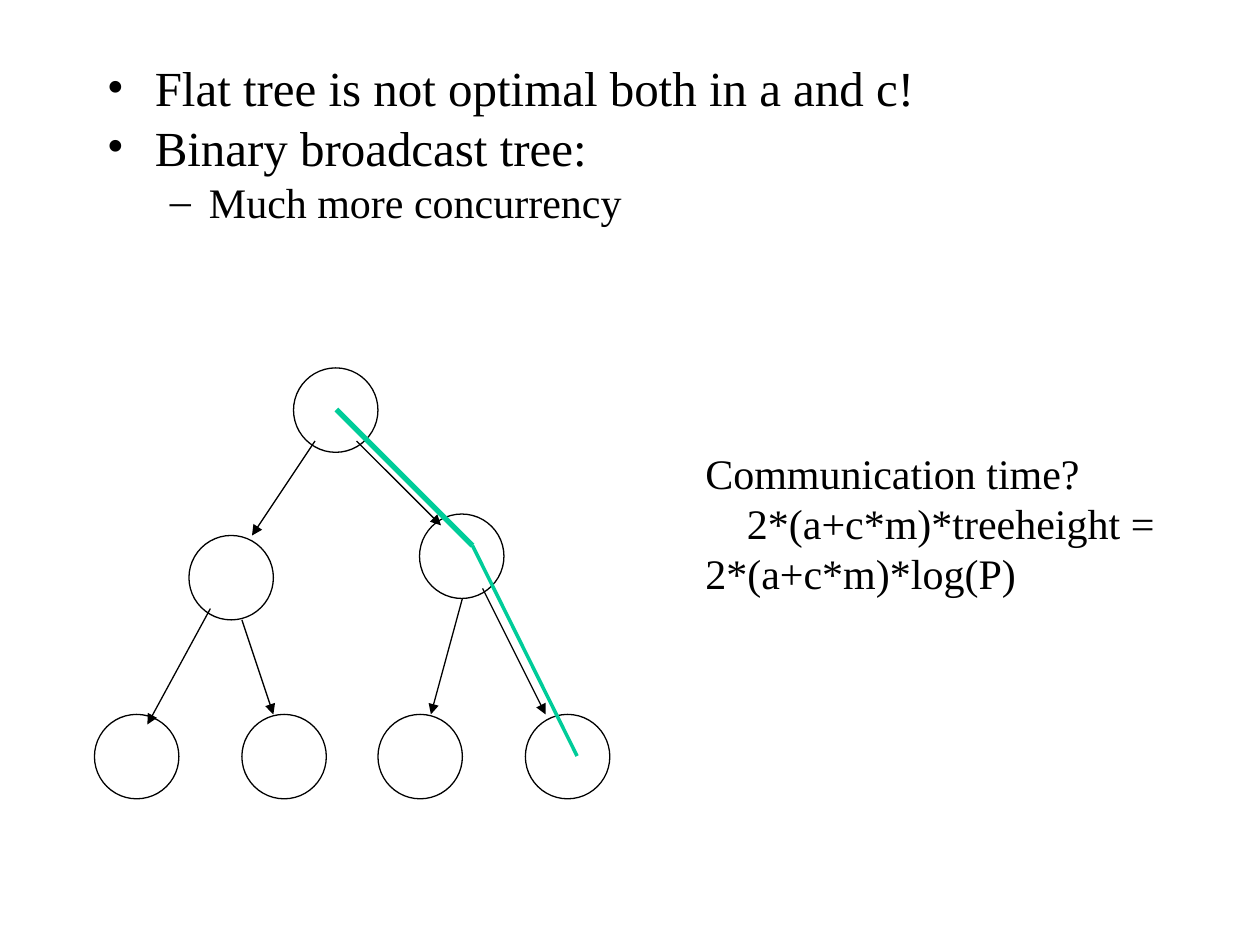
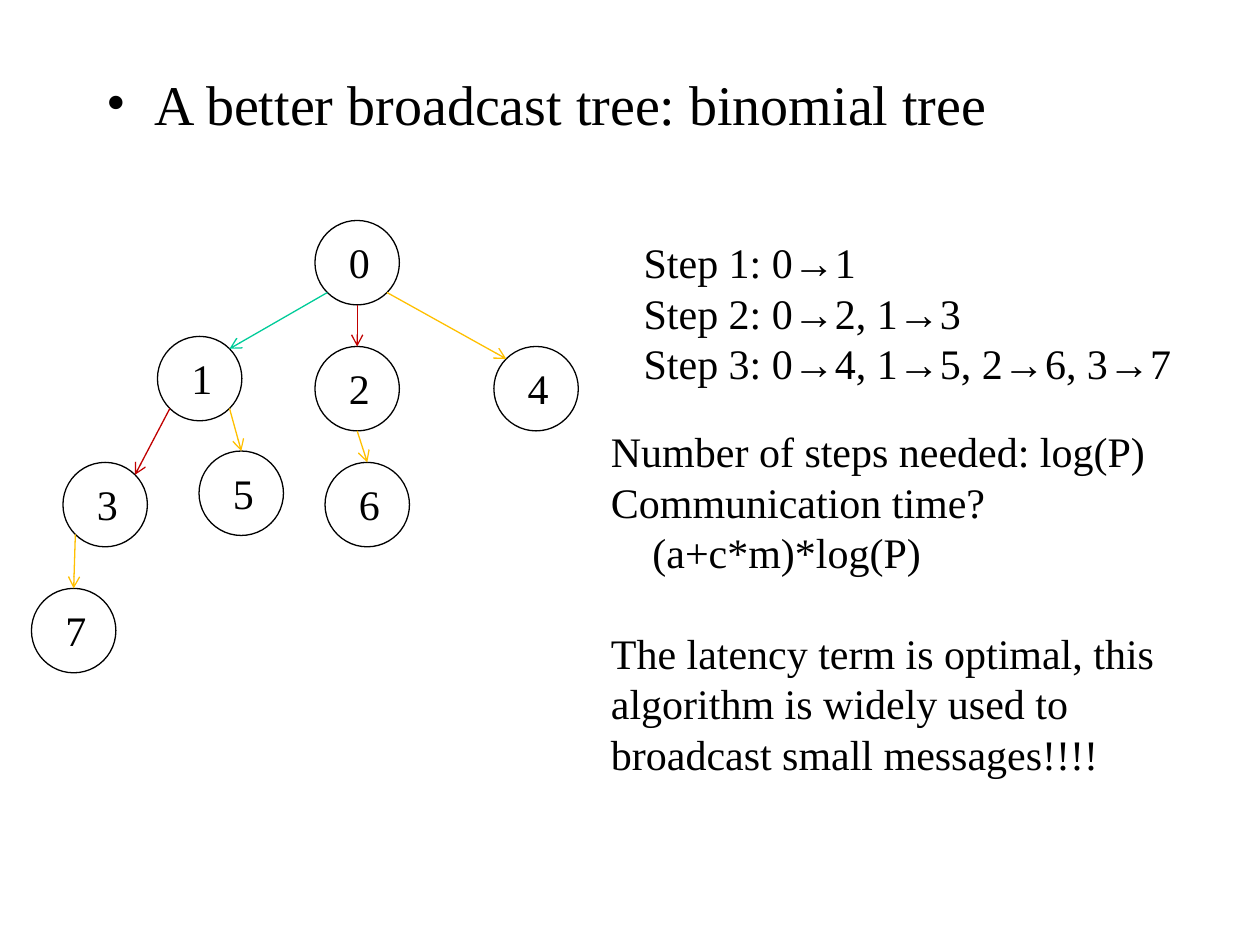
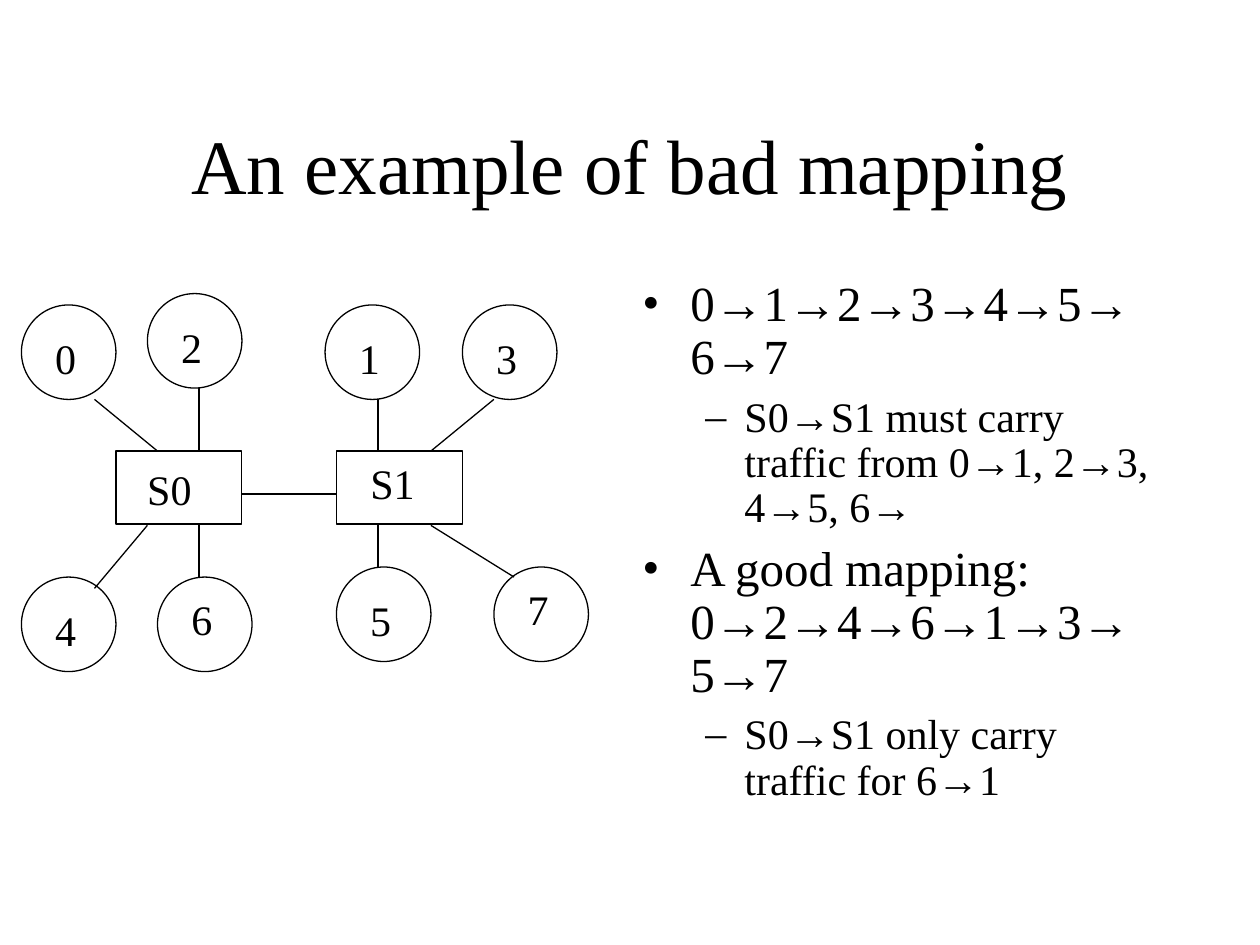
from dataclasses import dataclass

from lxml.etree import SubElement as Sub
from pptx import Presentation
from pptx.dml.color import RGBColor as RGB
from pptx.enum.shapes import MSO_CONNECTOR as Link, MSO_SHAPE as Form
from pptx.enum.text import MSO_ANCHOR as Anchor, MSO_AUTO_SIZE as Fit, PP_ALIGN as Align
from pptx.oxml.ns import qn
from pptx.util import Inches, Pt


@dataclass(frozen=True)
class Theme:
    font: str = "Times New Roman"
    arrow: str = "Arial"
    ink: str = "000000"
    green: str = "00CC99"
    red: str = "C00000"
    gold: str = "FFC000"
    title: int = 44
    lead: int = 32
    point: int = 28
    text: int = 24
    thin: float = 0.75


LOOK = Theme()
DIAG = 0.5 ** 0.5
SITES = {"n": (0, -1), "s": (0, 1), "ne": (DIAG, -DIAG), "nw": (-DIAG, -DIAG),
         "se": (DIAG, DIAG), "sw": (-DIAG, DIAG)}


def add_run(para, text, size, font):
    run = para.add_run()
    run.text = text
    run.font.name = font
    run.font.size = Pt(size)
    run.font.color.rgb = RGB.from_string(LOOK.ink)


def write(para, text, size):
    for i, part in enumerate(text.split("→")):
        if i:
            add_run(para, "→", size, LOOK.arrow)
        if part:
            add_run(para, part, size, LOOK.font)


def add_box(slide, x, y, wide, high, wrap=True):
    box = slide.shapes.add_textbox(Inches(x), Inches(y), Inches(wide), Inches(high))
    box.text_frame.word_wrap = wrap
    return box.text_frame


def next_para(frame, first):
    return frame.paragraphs[0] if first else frame.add_paragraph()


def add_title(slide, text):
    frame = add_box(slide, 0.75, 0.67, 8.5, 1.25)
    frame.vertical_anchor = Anchor.MIDDLE
    para = frame.paragraphs[0]
    para.alignment = Align.CENTER
    write(para, text, LOOK.title)


def add_list(slide, place, items, space, size=LOOK.point):
    frame = add_box(slide, *place)
    for i, (level, text) in enumerate(items):
        para = next_para(frame, i == 0)
        para.level = level
        para.line_spacing = space
        left, hang, mark = ((0.38, -0.38, "•"), (0.81, -0.31, "–"))[level]
        type_size = LOOK.text if level else size
        para.space_before = Pt(6 if level else size // 4)
        props = para._p.get_or_add_pPr()
        props.set("marL", str(Inches(left)))
        props.set("indent", str(Inches(hang)))
        tint = Sub(props, qn("a:buClr"))
        Sub(tint, qn("a:srgbClr"), val=LOOK.ink)
        Sub(props, qn("a:buFont"), typeface=LOOK.font)
        Sub(props, qn("a:buChar"), char=mark)
        write(para, text, type_size)


def add_note(slide, place, lines, wrap=True):
    frame = add_box(slide, *place, wrap=wrap)
    frame.auto_size = Fit.SHAPE_TO_FIT_TEXT
    for i, (text, indent, gap) in enumerate(lines):
        para = next_para(frame, i == 0)
        if indent:
            para._p.get_or_add_pPr().set("indent", str(Inches(indent)))
        if gap:
            para.space_before = Pt(gap)
        write(para, text, LOOK.text)


def add_node(slide, x, y, wide, high, form=Form.OVAL):
    node = slide.shapes.add_shape(form, Inches(x), Inches(y), Inches(wide), Inches(high))
    node.shadow.inherit = False
    node.fill.background()
    node.line.color.rgb = RGB.from_string(LOOK.ink)
    node.line.width = Pt(LOOK.thin)


def add_label(slide, x, y, text):
    add_note(slide, (x, y, 0.17 + 0.19 * len(text), 0.5), [(text, 0, 0)], wrap=False)


def add_line(slide, start, end, color=LOOK.ink, width=LOOK.thin, tip=None):
    line = slide.shapes.add_connector(Link.STRAIGHT, *map(Inches, start + end))
    line.line.color.rgb = RGB.from_string(color)
    line.line.width = Pt(width)
    props = line.element.spPr
    if tip:
        Sub(props.find(qn("a:ln")), qn("a:tailEnd"), type=tip)
    Sub(props, qn("a:effectLst"))


def find_site(spot, size, side):
    return tuple(edge + size / 2 * (1 + way) for edge, way in zip(spot, SITES[side]))


def draw_flat(slide):
    add_list(slide, (0.75, 0.5, 8.58, 1.42), [
        (0, "Flat tree is not optimal both in a and c!"),
        (0, "Binary broadcast tree:"),
        (1, "Much more concurrency"),
    ], 0.8)
    for x, y in [(2.33, 2.92), (3.33, 4.08), (1.5, 4.25),
                 (4.17, 5.67), (3, 5.67), (1.92, 5.67), (0.75, 5.67)]:
        add_node(slide, x, y, 0.67, 0.67)
    for start, end in [
        ((2.5, 3.5), (2, 4.25)), ((2.83, 3.5), (3.5, 4.17)),
        ((1.67, 4.83), (1.17, 5.75)), ((1.92, 4.92), (2.17, 5.67)),
        ((3.67, 4.75), (3.42, 5.67)), ((3.83, 4.67), (4.33, 5.67)),
    ]:
        add_line(slide, start, end, tip="triangle")
    add_note(slide, (5.5, 3.5, 3.77, 1.3), [
        ("Communication time?", 0, 0),
        ("2*(a+c*m)*treeheight = 2*(a+c*m)*log(P)", 0.33, 0),
    ])
    bend = (3.75, 4.33)
    add_line(slide, (2.67, 3.25), bend, LOOK.green, 3)
    add_line(slide, bend, (4.58, 6), LOOK.green, 2)


def draw_tree(slide):
    add_list(slide, (0.75, 0.5, 8.58, 1.42),
             [(0, "A better broadcast tree: binomial tree")], 1.0, LOOK.lead)
    size = 0.67
    spots = [(2.5, 1.75), (1.25, 2.67), (2.5, 2.75), (0.5, 3.67),
             (3.92, 2.75), (1.58, 3.58), (2.58, 3.67), (0.25, 4.67)]
    for x, y in spots:
        add_node(slide, x, y, size, size)
    for src, out, dest, into, color in [
        (0, "sw", 1, "ne", LOOK.green),
        (1, "sw", 3, "ne", LOOK.red), (0, "s", 2, "n", LOOK.red),
        (3, "sw", 7, "n", LOOK.gold), (1, "se", 5, "n", LOOK.gold),
        (2, "s", 6, "n", LOOK.gold), (0, "se", 4, "nw", LOOK.gold),
    ]:
        add_line(slide, find_site(spots[src], size, out),
                 find_site(spots[dest], size, into), color, tip="arrow")
    for i, (x, y) in enumerate(spots):
        add_label(slide, x + 0.17, y + 0.08, str(i))
    add_note(slide, (4.75, 3.33, 4.75, 2.9), [
        ("Number of steps needed: log(P)", 0, 0),
        ("Communication time?", 0, 0),
        ("(a+c*m)*log(P)", 0.33, 0),
        ("The latency term is optimal, this algorithm is widely used to "
         "broadcast small messages!!!!", 0, 28.8),
    ])
    add_note(slide, (5.01, 1.83, 4.45, 1.3), [
        ("Step 1: 0→1", 0, 0),
        ("Step 2: 0→2, 1→3", 0, 0),
        ("Step 3: 0→4, 1→5, 2→6, 3→7", 0, 0),
    ])


def draw_map(slide):
    add_title(slide, "An example of bad mapping")
    add_list(slide, (5, 2.17, 4.25, 4.5), [
        (0, "0→1→2→3→4→5→6→7"),
        (1, "S0→S1 must carry traffic from 0→1, 2→3, 4→5, 6→"),
        (0, "A good mapping: 0→2→4→6→1→3→5→7"),
        (1, "S0→S1 only carry traffic for 6→1"),
    ], 0.9)
    for text, x, shift, drop in [("S0", 0.92, 0.15, 0.05), ("S1", 2.67, 0.17, 0)]:
        add_node(slide, x, 3.58, 1, 0.58, Form.RECTANGLE)
        add_label(slide, x + shift, 3.58 + drop, text)
    for i, (x, y, drop) in enumerate([
        (0.17, 2.42, 0.17), (2.58, 2.42, 0.17), (1.17, 2.33, 0.17), (3.67, 2.42, 0.17),
        (0.17, 4.58, 0.17), (2.67, 4.5, 0.17), (1.25, 4.58, 0.08), (3.92, 4.5, 0.08),
    ]):
        add_node(slide, x, y, 0.75, 0.75)
        add_label(slide, x + 0.17, y + drop, str(i))
    for start, end in [
        ((0.75, 3.17), (1.25, 3.58)), ((1.92, 3.92), (2.67, 3.92)),
        ((1.58, 3.08), (1.58, 3.58)), ((1.17, 4.17), (0.75, 4.67)),
        ((1.58, 4.17), (1.58, 4.58)), ((3, 3.17), (3, 3.58)),
        ((3.42, 3.58), (3.92, 3.17)), ((3, 4.17), (3, 4.5)),
        ((3.42, 4.17), (4.08, 4.58)),
    ]:
        add_line(slide, start, end)


def main():
    deck = Presentation()
    deck.slide_width, deck.slide_height = Inches(10), Inches(7.5)
    for draw in (draw_flat, draw_tree, draw_map):
        draw(deck.slides.add_slide(deck.slide_layouts[6]))
    deck.save("out.pptx")


if __name__ == "__main__":
    main()
